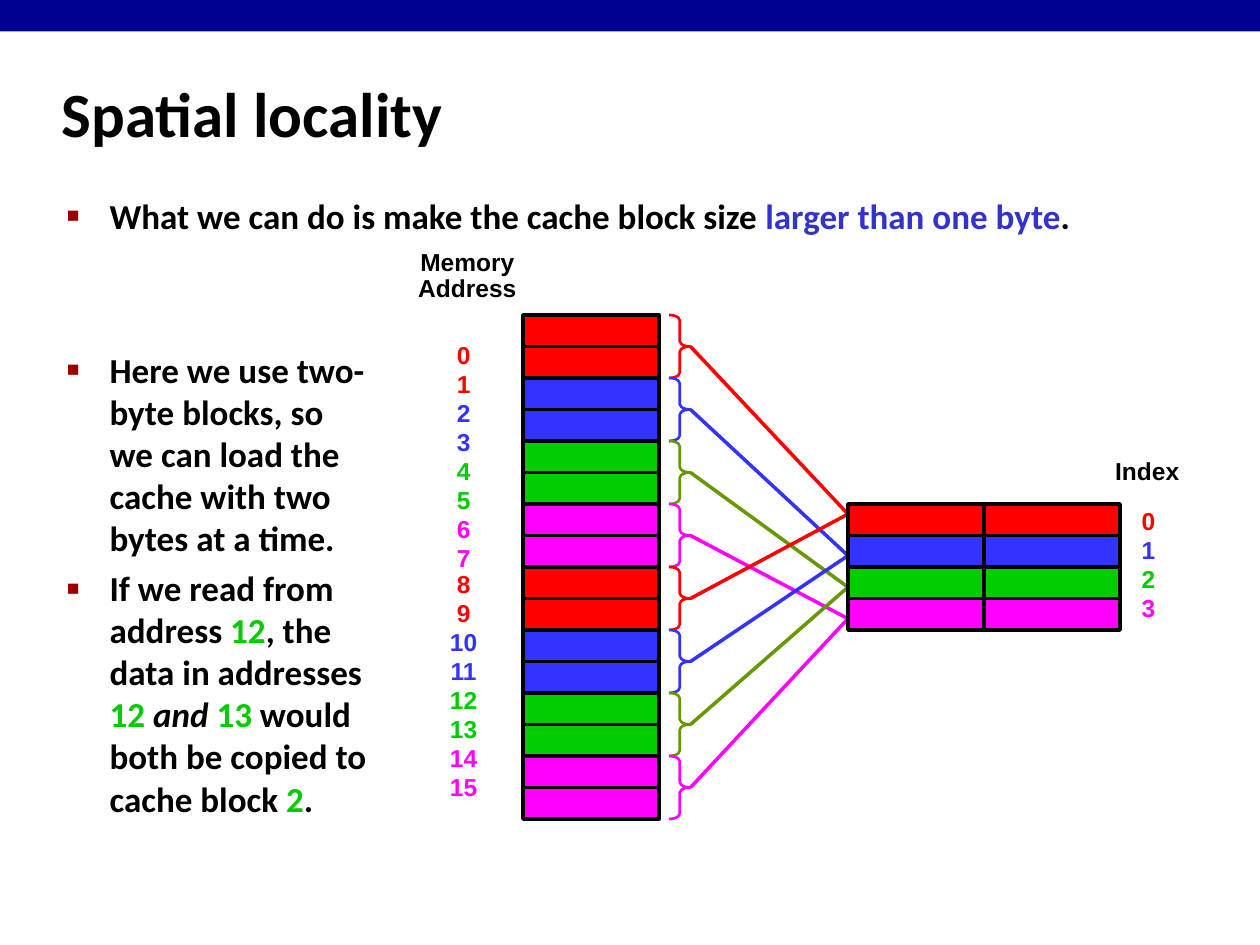
from lxml.etree import SubElement
from pptx import Presentation
from pptx.dml.color import RGBColor
from pptx.enum.shapes import MSO_CONNECTOR, MSO_SHAPE
from pptx.enum.text import MSO_ANCHOR, PP_ALIGN
from pptx.oxml.ns import qn
from pptx.util import Emu, Pt

SCALE = 9144  # EMU in one px, 100 px to the inch

BLACK, RED, BLUE, GREEN, MAGENTA = "000000", "FF0000", "3333FF", "00CC00", "FF00FF"
OLIVE, ACCENT, BULLET, NAVY = "669900", "3333CC", "990000", "000090"
BLOCK_COLORS = [RED, BLUE, GREEN, MAGENTA]
LINK_COLORS = [RED, BLUE, OLIVE, MAGENTA]

# Memory column, braces and cache grid
CELL_WIDTH, CELL_HEIGHT = 108, 25
MEMORY_LEFT, MEMORY_TOP = 415, 250
CACHE_LEFT, CACHE_TOP = 673, 400
BRACE_LEFT, BRACE_WIDTH = 531, 17
CACHE_ENTRIES = [408, 441, 466, 491]

# Each bullet: space before in points, then lines of (text, color, italic)
BULLETS = [
    (0, [[("What we can do is make the cache block size ", BLACK, False),
          ("larger than one byte", ACCENT, False), (".", BLACK, False)]]),
    (64, [[("Here we use two-", BLACK, False)],
          [("byte blocks, so", BLACK, False)],
          [("we can load the", BLACK, False)],
          [("cache with two", BLACK, False)],
          [("bytes at a time.", BLACK, False)]]),
    (5, [[("If we read from", BLACK, False)],
         [("address ", BLACK, False), ("12", GREEN, False), (", the", BLACK, False)],
         [("data in addresses", BLACK, False)],
         [("12 ", GREEN, False), ("and ", BLACK, True), ("13", GREEN, False),
          (" would", BLACK, False)],
         [("both be copied to", BLACK, False)],
         [("cache block ", BLACK, False), ("2", GREEN, False), (".", BLACK, False)]]),
]


def px(length):
    return Emu(length * SCALE)


def color(hex_string):
    return RGBColor.from_string(hex_string)


def place(shape, left, top, width, height):
    shape.left, shape.top = px(left), px(top)
    shape.width, shape.height = px(width), px(height)


def style_font(font, name, size):
    font.name, font.size, font.bold = name, Pt(size), True


def add_bullet(para):
    properties = para._p.get_or_add_pPr()
    properties.set("marL", str(px(34)))
    properties.set("indent", str(px(-34)))
    bullet_color = SubElement(properties, qn("a:buClr"))
    SubElement(bullet_color, qn("a:srgbClr"), val=BULLET)
    SubElement(properties, qn("a:buSzPct"), val="60000")
    SubElement(properties, qn("a:buFont"), typeface="Arial")
    SubElement(properties, qn("a:buChar"), char="■")


def write_title(slide, text):
    title = slide.shapes.title
    place(title, 39, 48, 830, 83)
    title.text_frame.vertical_anchor = MSO_ANCHOR.MIDDLE
    title.text_frame.text = text
    para = title.text_frame.paragraphs[0]
    para.alignment = PP_ALIGN.LEFT
    style_font(para.font, "Calibri", 36)
    para.font.color.rgb = color(BLACK)


def write_body(slide, bullets):
    body = slide.placeholders[1]
    place(body, 43, 149, 864, 544)
    frame = body.text_frame
    for index, (space, lines) in enumerate(bullets):
        para = frame.add_paragraph() if index else frame.paragraphs[0]
        add_bullet(para)
        para.space_before = Pt(space)
        style_font(para.font, "Calibri", 20)
        for number, line in enumerate(lines):
            if number:
                para.add_line_break()
            for text, hex_string, italic in line:
                span = para.add_run()
                span.text = text
                span.font.color.rgb = color(hex_string)
                if italic:
                    span.font.italic = True


def add_label(slide, left, top, width, height, lines, spaces):
    """Centred lines of (text, color), each with its space before."""
    box = slide.shapes.add_textbox(px(left), px(top), px(width), px(height))
    frame = box.text_frame
    frame.word_wrap = False
    frame.vertical_anchor = MSO_ANCHOR.MIDDLE
    frame.margin_left = frame.margin_right = px(11)
    frame.margin_top = frame.margin_bottom = px(6)
    for index, ((text, hex_string), space) in enumerate(zip(lines, spaces)):
        para = frame.add_paragraph() if index else frame.paragraphs[0]
        para.text = text
        para.alignment = PP_ALIGN.CENTER
        para.line_spacing = 0.9
        para.space_before = Pt(space)
        style_font(para.font, "Arial", 14)
        para.font.color.rgb = color(hex_string)


def add_rectangle(slide, left, top, width, height, fill, outline=None):
    box = slide.shapes.add_shape(
        MSO_SHAPE.RECTANGLE, px(left), px(top), px(width), px(height))
    box.shadow.inherit = False
    box.fill.solid()
    box.fill.fore_color.rgb = color(fill)
    if outline:
        box.line.color.rgb = color(outline)
        box.line.width = Pt(2)
    else:
        box.line.fill.background()


def add_brace(slide, top, hex_string):
    brace = slide.shapes.add_shape(
        MSO_SHAPE.RIGHT_BRACE, px(BRACE_LEFT), px(top), px(BRACE_WIDTH), px(2 * CELL_HEIGHT))
    brace.adjustments[0] = 0.25
    brace.shadow.inherit = False
    brace.fill.background()
    brace.line.color.rgb = color(hex_string)
    brace.line.width = Pt(1.5)


def add_link(slide, start_y, end_y, hex_string):
    link = slide.shapes.add_connector(
        MSO_CONNECTOR.STRAIGHT, px(CACHE_LEFT), px(start_y),
        px(BRACE_LEFT + BRACE_WIDTH), px(end_y))
    link.line.color.rgb = color(hex_string)
    link.line.width = Pt(2)
    SubElement(link._element.spPr, qn("a:effectLst"))


def main():
    deck = Presentation()
    deck.slide_width, deck.slide_height = px(1000), px(750)
    slide = deck.slides.add_slide(deck.slide_layouts[1])

    # Top band, title and bullets
    add_rectangle(slide, 0, 0, 1000, 25, NAVY)
    write_title(slide, "Spatial locality")
    write_body(slide, BULLETS)

    # Links from cache blocks to pairs of memory bytes
    pair_tops = [MEMORY_TOP + pair * 2 * CELL_HEIGHT for pair in range(8)]
    for pair, top in enumerate(pair_tops):
        block = pair % 4
        add_link(slide, CACHE_ENTRIES[block], top + CELL_HEIGHT, LINK_COLORS[block])

    # Memory bytes with their braces
    for pair, top in enumerate(pair_tops):
        for cell_top in (top, top + CELL_HEIGHT):
            add_rectangle(slide, MEMORY_LEFT, cell_top, CELL_WIDTH, CELL_HEIGHT,
                          BLOCK_COLORS[pair % 4], BLACK)
        add_brace(slide, top, LINK_COLORS[pair % 4])

    # Cache blocks of two bytes
    for block, fill in enumerate(BLOCK_COLORS):
        for column in range(2):
            add_rectangle(slide, CACHE_LEFT + column * CELL_WIDTH,
                          CACHE_TOP + block * CELL_HEIGHT, CELL_WIDTH, CELL_HEIGHT,
                          fill, BLACK)

    # Addresses and indexes
    addresses = [(str(byte), BLOCK_COLORS[byte // 2 % 4]) for byte in range(16)]
    indexes = [(str(block), fill) for block, fill in enumerate(BLOCK_COLORS)]
    add_label(slide, 321, 193, 100, 53, [("Memory", BLACK), ("Address", BLACK)], [0, 0])
    add_label(slide, 346, 267, 44, 375, addresses,
              [1.4 if byte % 8 else 0 for byte in range(16)])
    add_label(slide, 874, 359, 73, 32, [("Index", BLACK)], [0])
    add_label(slide, 895, 399, 33, 101, indexes, [0, 1.4, 1.4, 1.4])

    deck.save("out.pptx")


if __name__ == "__main__":
    main()
